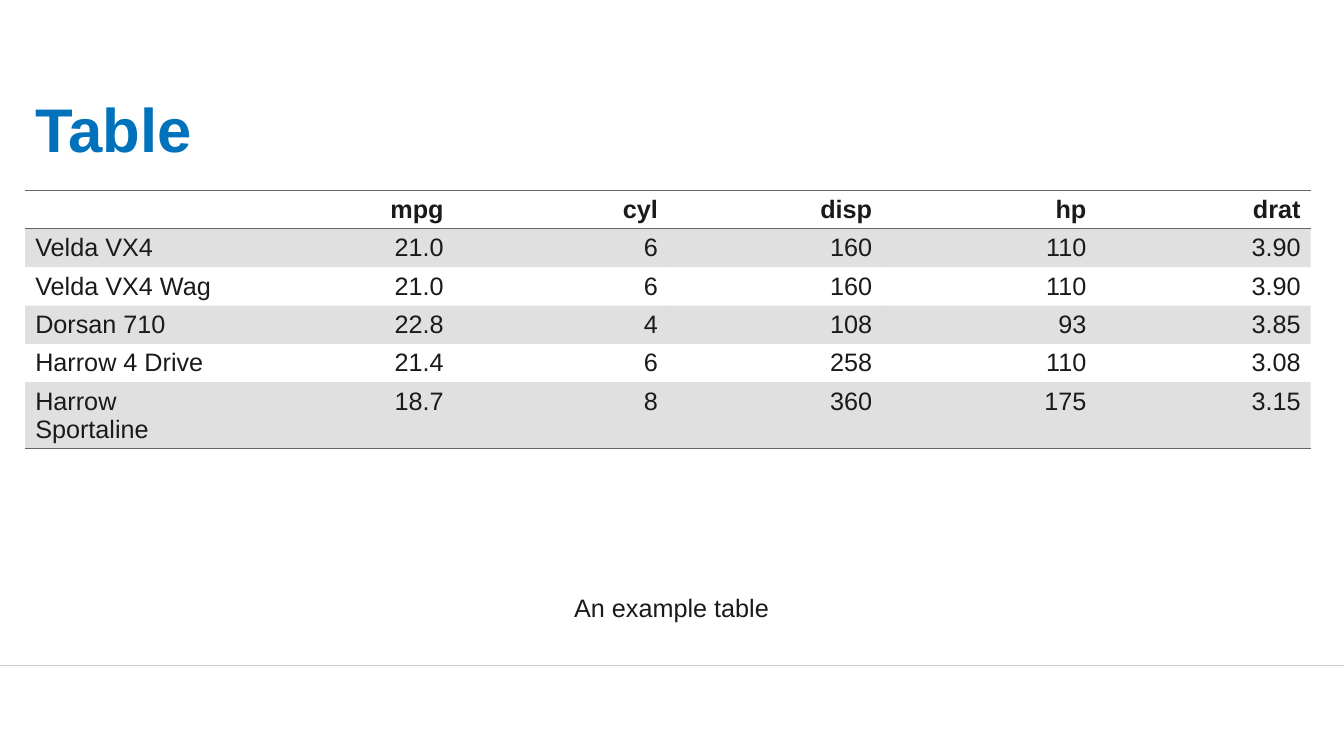
from lxml import etree
from pptx import Presentation
from pptx import util as u
from pptx.dml.color import RGBColor
from pptx.enum import shapes, text
from pptx.oxml import parse_xml
from pptx.oxml.ns import nsdecls, qn

BLUE, INK, GREY, RULE = "0072BC", "1A1A1A", "666666", "CCCCCC"
NO_STYLE = "{2D5ABB26-0587-4C30-8999-92F81FD0307C}"
ROWS = [
    ["", "mpg", "cyl", "disp", "hp", "drat"],
    ["Velda VX4", "21.0", "6", "160", "110", "3.90"],
    ["Velda VX4 Wag", "21.0", "6", "160", "110", "3.90"],
    ["Dorsan 710", "22.8", "4", "108", "93", "3.85"],
    ["Harrow 4 Drive", "21.4", "6", "258", "110", "3.08"],
    ["Harrow Sportaline", "18.7", "8", "360", "175", "3.15"],
]


def color(value):
    return RGBColor.from_string(value)


def write(tf, content, align, size=18, bold=False, ink=INK):
    p = tf.paragraphs[0]
    p.alignment = align
    if content:
        p.add_run().text = content
    font = p.runs[0].font if content else p.font
    for name, value in {"name": "Arial", "size": u.Pt(size), "bold": bold}.items():
        setattr(font, name, value)
    font.color.rgb = color(ink)
    return p


prs = Presentation()
prs.slide_width, prs.slide_height = u.Inches(13.33), u.Inches(7.5)
s = prs.slides.add_slide(prs.slide_layouts[5])
align = text.PP_ALIGN

rule = s.shapes.add_connector(
    shapes.MSO_CONNECTOR.STRAIGHT, 0, u.Inches(6.6), prs.slide_width, u.Inches(6.6))
rule.line.color.rgb = color(RULE)
rule.line.width = u.Pt(0.75)
etree.SubElement(rule._element.spPr, qn("a:effectLst"))

title = s.shapes.title
box = {"left": 0.25, "top": 0.25, "width": 12.83, "height": 1.45}
for name, value in box.items():
    setattr(title, name, u.Inches(value))
tf = title.text_frame
tf.word_wrap = True
tf.vertical_anchor = text.MSO_ANCHOR.BOTTOM
write(tf, "Table", align.LEFT, 44, True, BLUE).line_spacing = 0.9

frame = s.shapes.add_table(
    len(ROWS), len(ROWS[0]), u.Inches(0.25), u.Inches(1.89), u.Inches(12.75), u.Inches(2.56))
table = frame.table
table.horz_banding = False
table._tbl.tblPr.find(qn("a:tableStyleId")).text = NO_STYLE

last = len(ROWS) - 1
for i, values in enumerate(ROWS):
    table.rows[i].height = u.Inches(0.66 if i == last else 0.38)
    edges = {0: ["lnT", "lnB"], last: ["lnB"]}.get(i, [])
    for j, value in enumerate(values):
        cell = table.cell(i, j)
        write(cell.text_frame, value, align.RIGHT if j else align.LEFT, bold=i == 0)
        if i % 2:
            cell.fill.solid()
            cell.fill.fore_color.rgb = color(GREY)
            tint = cell._tc.tcPr.find(".//" + qn("a:srgbClr"))
            etree.SubElement(tint, qn("a:alpha"), val="20000")
        else:
            cell.fill.background()
        for k, edge in enumerate(edges):
            cell._tc.tcPr.insert(k, parse_xml(
                f'<a:{edge} {nsdecls("a")} w="12700"><a:solidFill>'
                f'<a:srgbClr val="{GREY}"/></a:solidFill></a:{edge}>'))

caption = s.shapes.add_textbox(u.Inches(0.25), u.Inches(5.83), u.Inches(12.82), u.Inches(0.56))
caption.text_frame.word_wrap = True
write(caption.text_frame, "An example table", align.CENTER)

prs.save("out.pptx")
